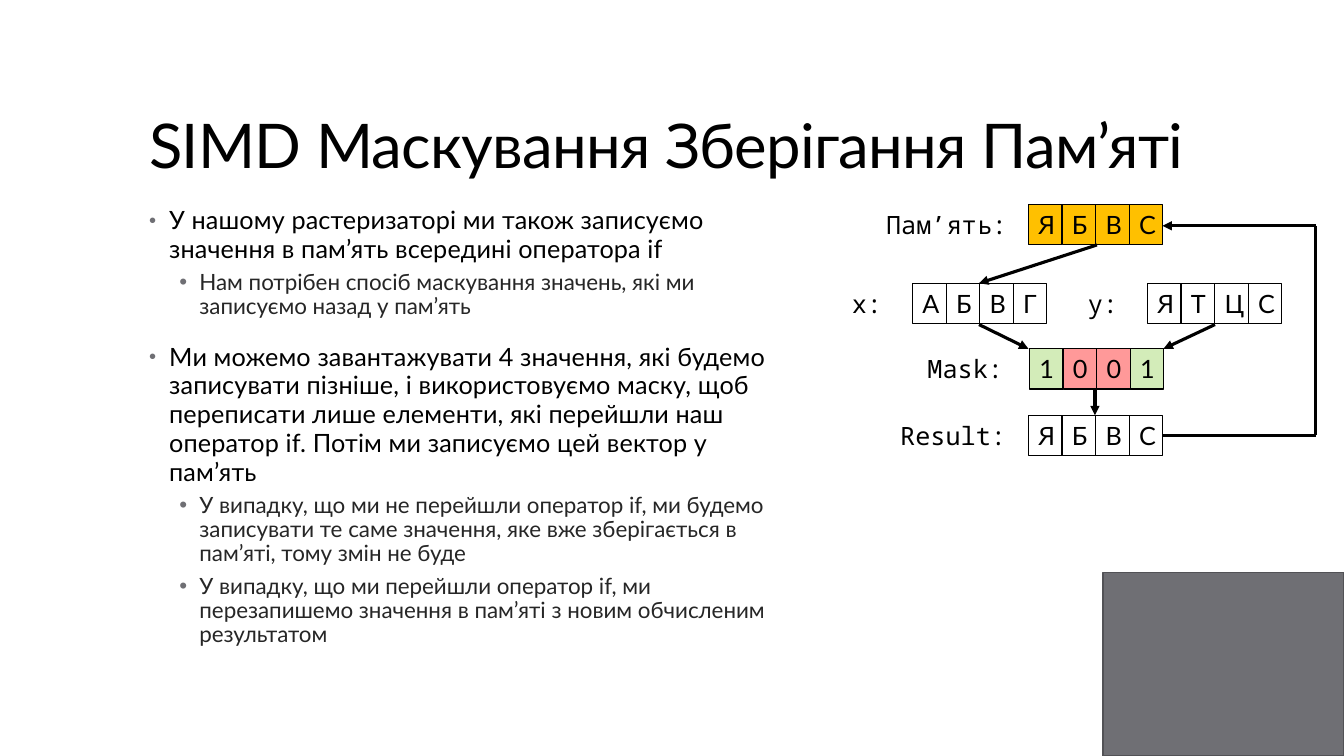
import pptx
import pptx.dml.color
import pptx.enum.shapes
import pptx.enum.text
import pptx.oxml.ns
import pptx.util
from lxml import etree
from pptx.util import Inches

BODY = [
    (0, "У нашому растеризаторі ми також записуємо значення в пам’ять всередині оператора if"),
    (1, "Нам потрібен спосіб маскування значень, які ми записуємо назад у пам’ять"),
    (0, "Ми можемо завантажувати 4 значення, які будемо записувати пізніше, і використовуємо маску, "
        "щоб переписати лише елементи, які перейшли наш оператор if. "
        "Потім ми записуємо цей вектор у пам’ять"),
    (1, "У випадку, що ми не перейшли оператор if, ми будемо записувати те саме значення, "
        "яке вже зберігається в пам’яті, тому змін не буде"),
    (1, "У випадку, що ми перейшли оператор if, ми перезапишемо значення в пам’яті "
        "з новим обчисленим результатом"),
]
LEVELS = [
    dict(size=18, color="000000", spacing=0.1, line=0.95, before=14, after=2, indent=0.2, bullet_size=80),
    dict(size=16, color="262626", spacing=0, line=0.9, before=3, after=3, indent=0.5, bullet_size=100),
]
PASSED, FAILED = "92D050", "FF0000"
VECTORS = [
    ("Пам’ять:", 8.69, 1.57, 10.2, 2.03, "ЯБВС", ["FFC000"] * 4, None),
    ("х:", 8.35, 0.72, 9.05, 2.81, "АБВГ", [None] * 4, None),
    ("y:", 10.69, 0.72, 11.38, 2.81, "ЯТЦС", [None] * 4, None),
    ("Mask:", 9.1, 1.13, 10.21, 3.46, "1001", [PASSED, FAILED, FAILED, PASSED], 40),
    ("Result:", 8.83, 1.4, 10.2, 4.12, "ЯБВС", [None] * 4, None),
]
ARROWS = [
    (9.71, 3.22, 10.2, 3.46, True),
    (12.05, 3.22, 11.54, 3.46, True),
    (13.05, 2.24, 11.53, 2.24, True),
    (13.05, 2.24, 13.05, 4.32, False),
    (13.05, 4.32, 11.53, 4.32, False),
    (10.88, 2.43, 9.71, 2.81, True),
    (10.86, 3.87, 10.86, 4.12, True),
]


def rgb(value):
    """Turn a hex string into a colour."""
    return pptx.dml.color.RGBColor.from_string(value)


def add_child(parent, tag, **attributes):
    """Append a drawing element with its attributes."""
    return etree.SubElement(parent, pptx.oxml.ns.qn(tag), attributes)


def write(paragraph, text, font="Lato", size=18, color="000000", spacing=0, line=None,
          before=0, after=0, indent=None, bullet_size=100):
    """Fill a paragraph with formatted text, bulleted when an indent is given."""
    if indent is not None:
        properties = paragraph._p.get_or_add_pPr()
        properties.set("marL", str(Inches(indent)))
        properties.set("indent", str(Inches(-0.2)))
        add_child(add_child(properties, "a:buClr"), "a:srgbClr", val="6F6F74")
        add_child(properties, "a:buSzPct", val=str(bullet_size * 1000))
        add_child(properties, "a:buFont", typeface="Arial")
        add_child(properties, "a:buChar", char="•")
    paragraph.alignment = pptx.enum.text.PP_ALIGN.LEFT
    paragraph.space_before = pptx.util.Pt(before)
    paragraph.space_after = pptx.util.Pt(after)
    if line:
        paragraph.line_spacing = line
    run = paragraph.add_run()
    run.text = text
    run.font.name = font
    run.font.size = pptx.util.Pt(size)
    run.font.color.rgb = rgb(color)
    if spacing:
        run._r.get_or_add_rPr().set("spc", str(round(spacing * 100)))


class Board:
    """Hold the diagram style and the current slide."""

    cell_width = 1 / 3
    cell_height = 0.4
    ink = "000000"

    def __init__(self, slide):
        """Keep the slide to draw on."""
        self.slide = slide

    def text_box(self, left, top, width, height, anchor=pptx.enum.text.MSO_ANCHOR.TOP):
        """Add a wrapping text box and return its frame."""
        box = self.slide.shapes.add_textbox(Inches(left), Inches(top), Inches(width), Inches(height))
        box.text_frame.word_wrap = True
        box.text_frame.vertical_anchor = anchor
        return box.text_frame

    def rectangle(self, left, top, width, height, fill, line, line_width, opacity=None):
        """Add an outlined rectangle with an optional fill."""
        shape = self.slide.shapes.add_shape(
            pptx.enum.shapes.MSO_SHAPE.RECTANGLE,
            Inches(left), Inches(top), Inches(width), Inches(height))
        shape.shadow.inherit = False
        if fill:
            shape.fill.solid()
            shape.fill.fore_color.rgb = rgb(fill)
        else:
            shape.fill.background()
        if opacity:
            color = shape._element.spPr.find(".//" + pptx.oxml.ns.qn("a:srgbClr"))
            add_child(color, "a:alpha", val=str(opacity * 1000))
        shape.line.color.rgb = rgb(line)
        shape.line.width = pptx.util.Pt(line_width)
        return shape

    def bullets(self, left, top, width, height, items):
        """Add a two-level bulleted list."""
        frame = self.text_box(left, top, width, height)
        for index, (level, text) in enumerate(items):
            paragraph = frame.add_paragraph() if index else frame.paragraphs[0]
            paragraph.level = level
            style = LEVELS[level] if index else {**LEVELS[level], "before": 0}
            write(paragraph, text, **style)

    def vector(self, label, label_left, label_width, left, top, values, fills, opacity):
        """Add a label and its row of cells."""
        frame = self.text_box(label_left, top, label_width, self.cell_height)
        write(frame.paragraphs[0], label, font="Noto Sans Mono")
        for index, (value, fill) in enumerate(zip(values, fills)):
            cell = self.rectangle(left + index * self.cell_width, top, self.cell_width,
                                  self.cell_height, fill, self.ink, 0.75, opacity)
            cell.text_frame.word_wrap = True
            cell.text_frame.vertical_anchor = pptx.enum.text.MSO_ANCHOR.TOP
            write(cell.text_frame.paragraphs[0], value)

    def arrow(self, start_x, start_y, end_x, end_y, head):
        """Add a straight line with an optional arrowhead."""
        connector = self.slide.shapes.add_connector(
            pptx.enum.shapes.MSO_CONNECTOR.STRAIGHT,
            Inches(start_x), Inches(start_y), Inches(end_x), Inches(end_y))
        connector.line.color.rgb = rgb(self.ink)
        connector.line.width = pptx.util.Pt(2.25)
        if head:
            add_child(connector.line._get_or_add_ln(), "a:tailEnd", type="triangle")
        add_child(connector._element.spPr, "a:effectLst")


def main():
    """Build and save the slide."""
    presentation = pptx.Presentation()
    presentation.slide_width = Inches(13.33)
    presentation.slide_height = Inches(7.5)
    board = Board(presentation.slides.add_slide(presentation.slide_layouts[6]))
    board.rectangle(10.94, 5.68, 2.39, 1.82, "6F6F74", "525256", 1.1)
    title = board.text_box(1.38, 0.4, 10.6, 1.45, pptx.enum.text.MSO_ANCHOR.BOTTOM)
    write(title.paragraphs[0], "SIMD Маскування Зберігання Пам’яті", size=44, spacing=-0.5, line=0.9)
    board.bullets(1.38, 2, 6.37, 5.25, BODY)
    for vector in VECTORS:
        board.vector(*vector)
    for arrow in ARROWS:
        board.arrow(*arrow)
    presentation.save("out.pptx")


if __name__ == "__main__":
    main()
